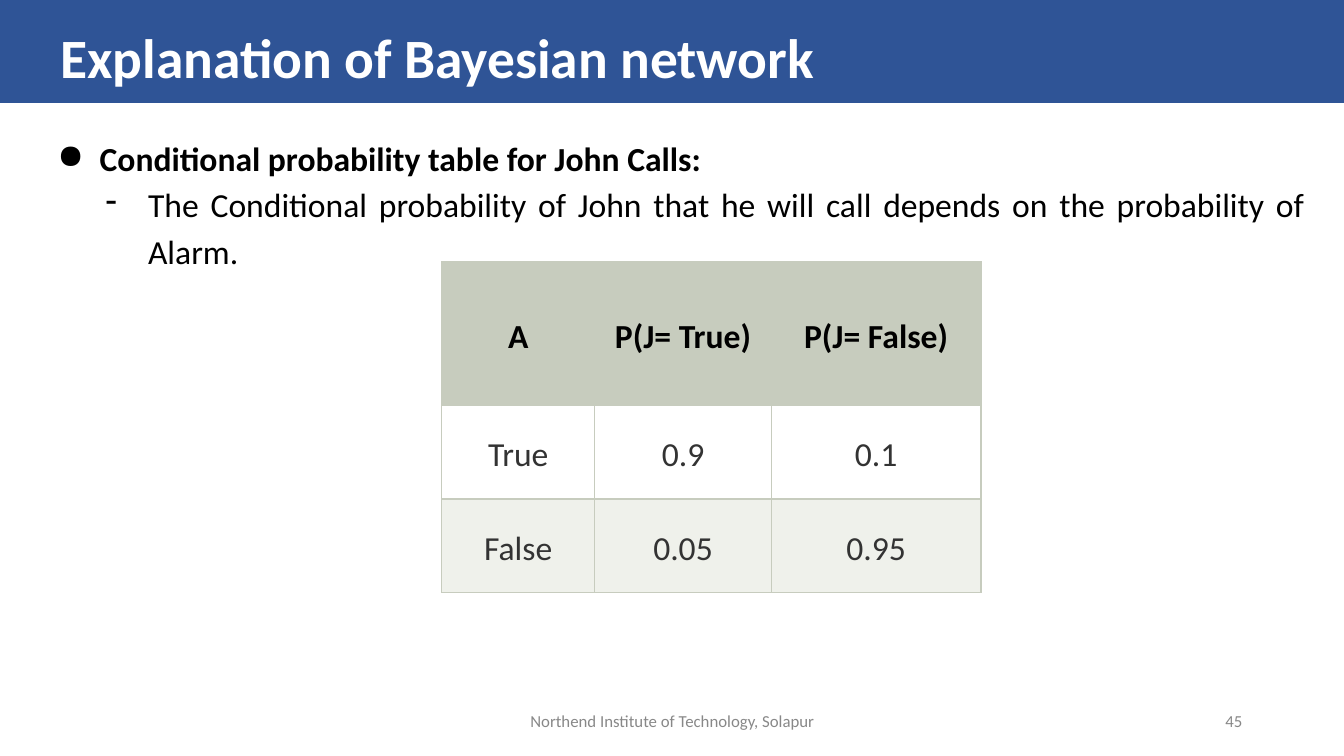
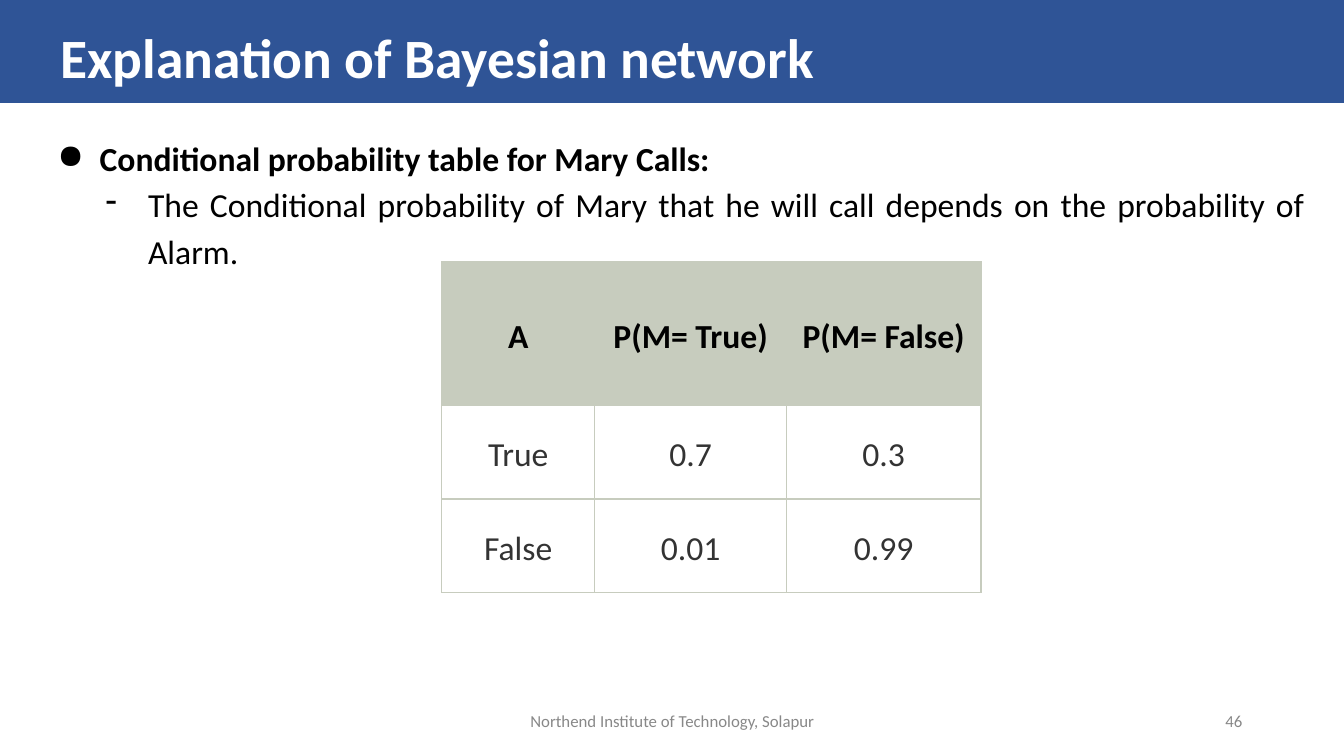
"""Build two slides of conditional probability tables for a Bayesian network."""
from lxml import etree
from pptx import Presentation, util as u
from pptx.dml.color import RGBColor
from pptx.enum import shapes, text
from pptx.oxml.ns import qn

SLIDE_SIZE = (1333, 750)
EMU_PER_PX = 9144
FONT = "Calibri"
BLUE, WHITE, BLACK = "2F5496", "FFFFFF", "000000"
GREY, DARK, SAGE, PALE = "888888", "333333", "C7CCBE", "EFF1EB"

TITLE = "Explanation of Bayesian network"
FOOTER = "Northend Institute of Technology, Solapur"
BAND_BOX = (0, 0, 1333, 102)
FOOTER_BOX = (442, 695, 450, 40)
NUMBER_BOX = (942, 695, 300, 40)
BODY_BOX = (39, 126, 1265, 520)
TABLE_CORNER = (438, 260)
ROW_HEIGHTS = (142, 93, 93)

SLIDES = [
    {
        "number": 45,
        "caller": "John",
        "columns": (152, 175, 208),
        "rows": [("A", "P(J= True)", "P(J= False)"),
                 ("True", "0.9", "0.1"),
                 ("False", "0.05", "0.95")],
        "fills": (SAGE, WHITE, PALE),
    },
    {
        "number": 46,
        "caller": "Mary",
        "columns": (152, 190, 193),
        "rows": [("A", "P(M= True)", "P(M= False)"),
                 ("True", "0.7", "0.3"),
                 ("False", "0.01", "0.99")],
        "fills": (SAGE, WHITE, WHITE),
    },
]


def px(*lengths):
    return [u.Emu(length * EMU_PER_PX) for length in lengths]


def rgb(value):
    return RGBColor.from_string(value)


def write(para, words, size, color, align, bold=False, spacing=None, before=0, after=0):
    para.text = words
    para.alignment = align
    para.space_before, para.space_after = u.Pt(before), u.Pt(after)
    if spacing:
        para.line_spacing = spacing
    font = para.runs[0].font
    font.name, font.size, font.bold = FONT, u.Pt(size), bold
    font.color.rgb = rgb(color)


def indent(para, margin, first_line, bullet=None):
    properties = para._p.get_or_add_pPr()
    left, hanging = px(margin, first_line)
    properties.set("marL", str(left))
    properties.set("indent", str(hanging))
    if bullet:
        etree.SubElement(properties, qn("a:buChar")).set("char", bullet)


def add_text_box(slide, box, anchor):
    frame = slide.shapes.add_textbox(*px(*box)).text_frame
    frame.word_wrap = True
    frame.vertical_anchor = anchor
    return frame


def add_title(slide):
    band = slide.shapes.add_shape(shapes.MSO_SHAPE.RECTANGLE, *px(*BAND_BOX))
    band.shadow.inherit = False
    band.fill.solid()
    band.fill.fore_color.rgb = rgb(BLUE)
    band.line.color.rgb = rgb(BLUE)
    band.line.width = u.Pt(0.75)
    band.text_frame.vertical_anchor = text.MSO_ANCHOR.MIDDLE
    para = band.text_frame.paragraphs[0]
    write(para, TITLE, 39.6, WHITE, text.PP_ALIGN.JUSTIFY, True, 1.15, 4, 6)
    indent(para, 0, 50)


def add_footer(slide, number):
    for box, words, align in ((FOOTER_BOX, FOOTER, text.PP_ALIGN.CENTER),
                              (NUMBER_BOX, str(number), text.PP_ALIGN.RIGHT)):
        frame = add_text_box(slide, box, text.MSO_ANCHOR.MIDDLE)
        write(frame.paragraphs[0], words, 12, GREY, align)


def add_body(slide, caller):
    frame = add_text_box(slide, BODY_BOX, text.MSO_ANCHOR.TOP)
    heading, detail = frame.paragraphs[0], frame.add_paragraph()
    write(heading, f"Conditional probability table for {caller} Calls:",
          24, BLACK, text.PP_ALIGN.JUSTIFY, True, 1.15, 12)
    indent(heading, 50, -42, "●")
    write(detail, f"The Conditional probability of {caller} that he will call "
          "depends on the probability of Alarm.",
          24, BLACK, text.PP_ALIGN.JUSTIFY, False, 1.15)
    indent(detail, 98, -42, "-")


def add_borders(cell):
    properties = cell._tc.get_or_add_tcPr()
    for position, side in enumerate("LRTB"):
        line = etree.Element(qn(f"a:ln{side}"), w=str(u.Pt(1)))
        fill = etree.SubElement(line, qn("a:solidFill"))
        etree.SubElement(fill, qn("a:srgbClr")).set("val", SAGE)
        properties.insert(position, line)


def style_cell(cell, words, fill, header):
    cell.fill.solid()
    cell.fill.fore_color.rgb = rgb(fill)
    cell.vertical_anchor = text.MSO_ANCHOR.MIDDLE
    margin = px(12 if header else 8)[0]
    cell.margin_left = cell.margin_right = margin
    cell.margin_top = cell.margin_bottom = margin
    write(cell.text_frame.paragraphs[0], words, 24, BLACK if header else DARK,
          text.PP_ALIGN.CENTER, header, 1.15, 12, 12)
    add_borders(cell)


def add_probability_table(slide, rows, columns, fills):
    size = px(sum(columns), sum(ROW_HEIGHTS))
    table = slide.shapes.add_table(len(rows), len(columns), *px(*TABLE_CORNER), *size).table
    table.first_row = table.horz_banding = False
    for column, width in zip(table.columns, px(*columns)):
        column.width = width
    for row, height in zip(table.rows, px(*ROW_HEIGHTS)):
        row.height = height
    for r, (values, fill) in enumerate(zip(rows, fills)):
        for c, words in enumerate(values):
            style_cell(table.cell(r, c), words, fill, r == 0)


def main():
    deck = Presentation()
    deck.slide_width, deck.slide_height = px(*SLIDE_SIZE)
    for content in SLIDES:
        slide = deck.slides.add_slide(deck.slide_layouts[6])
        add_title(slide)
        add_footer(slide, content["number"])
        add_body(slide, content["caller"])
        add_probability_table(slide, content["rows"], content["columns"], content["fills"])
    deck.save("out.pptx")


if __name__ == "__main__":
    main()
